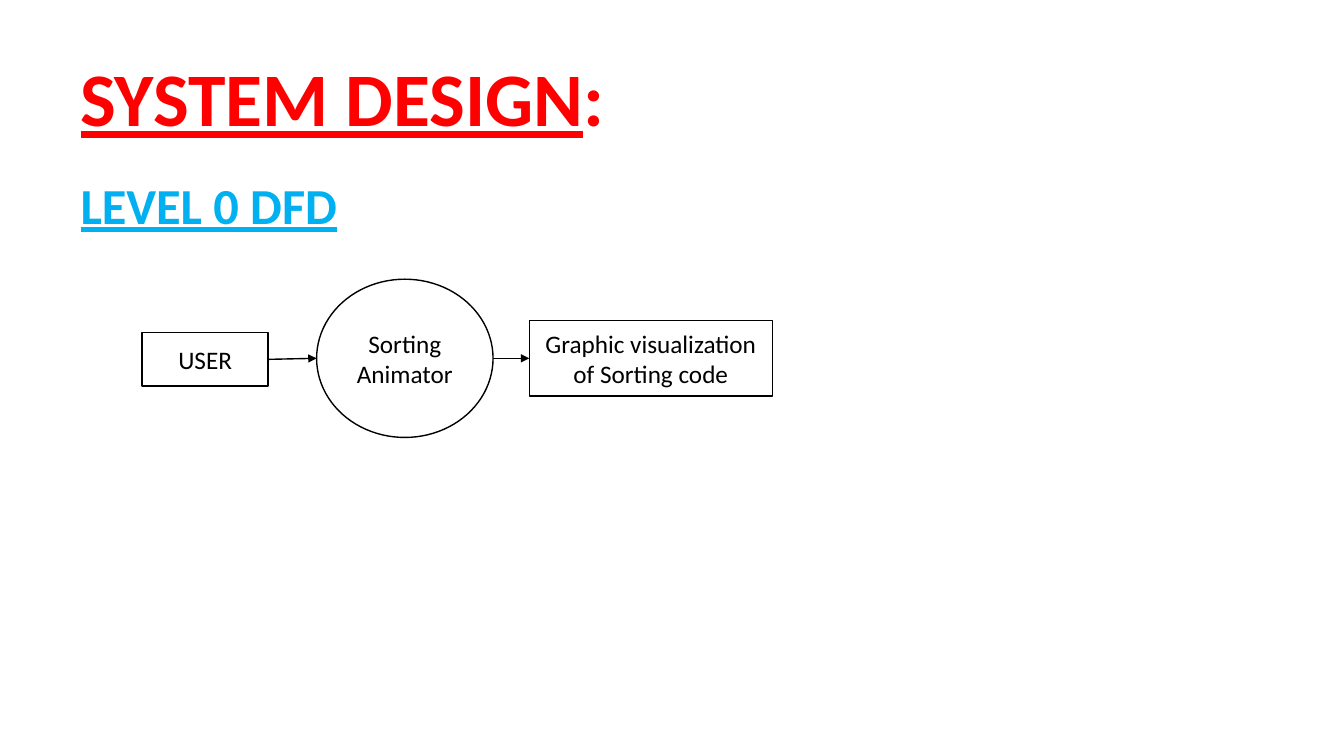
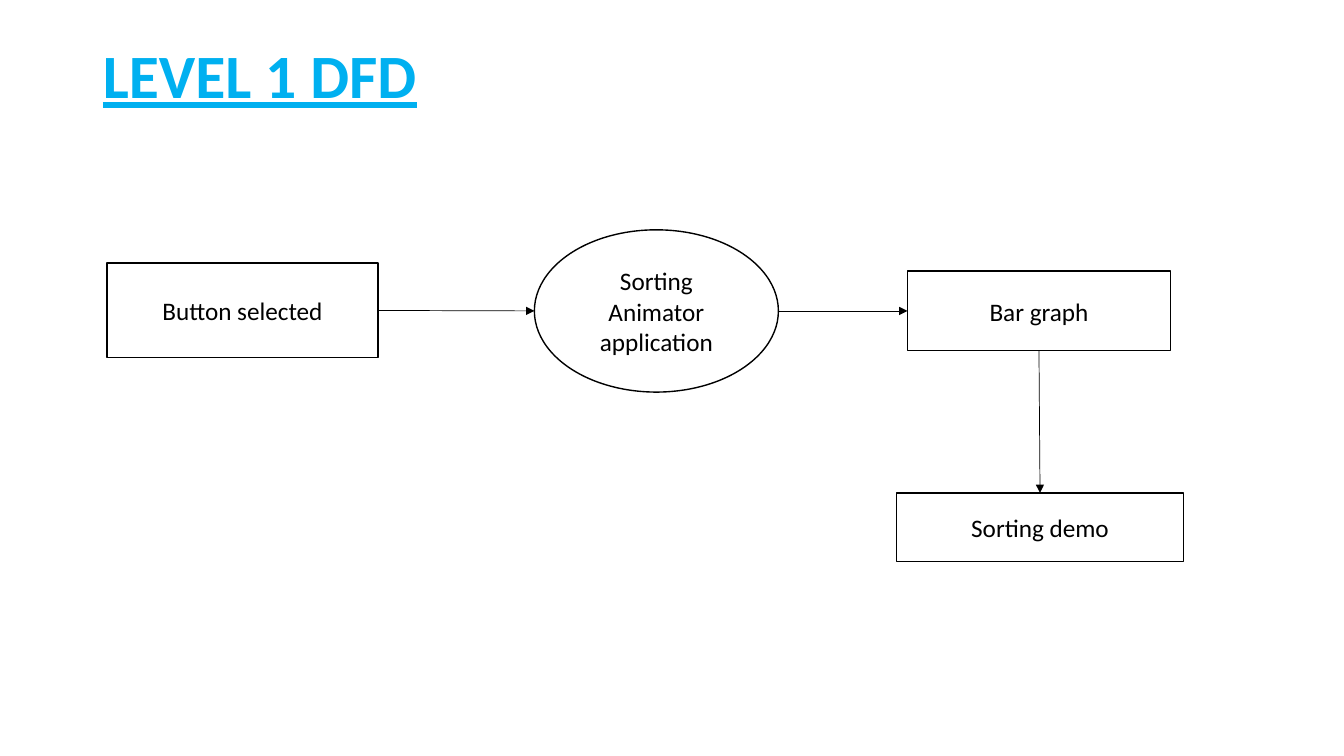
import enum
from dataclasses import dataclass

import lxml.etree
import pptx
import pptx.dml.color
import pptx.enum.shapes
import pptx.enum.text
import pptx.oxml.ns
import pptx.presentation
import pptx.shapes.autoshape
import pptx.slide
import pptx.text.text
import pptx.util

PX = pptx.util.Inches(1) // 100

BLACK = pptx.dml.color.RGBColor(0x00, 0x00, 0x00)
WHITE = pptx.dml.color.RGBColor(0xFF, 0xFF, 0xFF)
RED = pptx.dml.color.RGBColor(0xFF, 0x00, 0x00)
SKY = pptx.dml.color.RGBColor(0x00, 0xB0, 0xF0)
FONT = "Calibri"
TITLE_ONLY = 5

Kind = pptx.enum.shapes.MSO_SHAPE
Align = pptx.enum.text.PP_ALIGN
Anchor = pptx.enum.text.MSO_ANCHOR


class Side(enum.IntEnum):
    TOP = 0
    LEFT = 1
    BOTTOM = 2
    RIGHT = 3


@dataclass(frozen=True)
class Area:
    left: int
    top: int
    width: int
    height: int

    def emu(self) -> tuple[int, int, int, int]:
        return self.left * PX, self.top * PX, self.width * PX, self.height * PX


@dataclass(frozen=True)
class Node:
    lines: tuple[str, ...]
    area: Area
    kind: Kind = Kind.RECTANGLE


@dataclass(frozen=True)
class Flow:
    source: str
    target: str
    leave: Side = Side.RIGHT
    enter: Side = Side.LEFT


def add_text(para: pptx.text.text._Paragraph, text: str, *, size: int,
             color: pptx.dml.color.RGBColor = BLACK, bold: bool = False,
             underline: bool = False, align: Align = Align.LEFT,
             spacing: float = 1.0) -> None:
    para.alignment = align
    para.line_spacing = spacing
    span = para.add_run()
    span.text = text
    span.font.name = FONT
    span.font.size = pptx.util.Pt(size)
    span.font.color.rgb = color
    span.font.bold = bold
    span.font.underline = underline


def place_heading(box: pptx.shapes.autoshape.Shape,
                  area: Area) -> pptx.text.text._Paragraph:
    """Position a title or text box and return its first paragraph."""
    box.left, box.top, box.width, box.height = area.emu()
    frame = box.text_frame
    frame.word_wrap = True
    frame.auto_size = pptx.enum.text.MSO_AUTO_SIZE.NONE
    frame.vertical_anchor = Anchor.TOP
    return frame.paragraphs[0]


def draw_node(page: pptx.slide.Slide, node: Node) -> pptx.shapes.autoshape.Shape:
    shape = page.shapes.add_shape(node.kind, *node.area.emu())
    shape.shadow.inherit = False
    shape.fill.solid()
    shape.fill.fore_color.rgb = WHITE
    shape.line.color.rgb = BLACK
    shape.line.width = pptx.util.Pt(1)
    frame = shape.text_frame
    frame.word_wrap = True
    frame.vertical_anchor = Anchor.MIDDLE
    for index, line in enumerate(node.lines):
        para = frame.add_paragraph() if index else frame.paragraphs[0]
        add_text(para, line, size=18, align=Align.CENTER)
    return shape


def side_middle(shape: pptx.shapes.autoshape.Shape, side: Side) -> tuple[int, int]:
    across, down = {Side.TOP: (1, 0), Side.LEFT: (0, 1),
                    Side.BOTTOM: (1, 2), Side.RIGHT: (2, 1)}[side]
    return (shape.left + shape.width * across // 2,
            shape.top + shape.height * down // 2)


def draw_flow(page: pptx.slide.Slide, flow: Flow,
              shapes: dict[str, pptx.shapes.autoshape.Shape],
              weight: float) -> None:
    """Draw an arrow, joined to its rectangles; ellipses number their sites differently."""
    source, target = shapes[flow.source], shapes[flow.target]
    arrow = page.shapes.add_connector(
        pptx.enum.shapes.MSO_CONNECTOR.STRAIGHT,
        *side_middle(source, flow.leave), *side_middle(target, flow.enter))
    if source.auto_shape_type == Kind.RECTANGLE:
        arrow.begin_connect(source, int(flow.leave))
    if target.auto_shape_type == Kind.RECTANGLE:
        arrow.end_connect(target, int(flow.enter))
    arrow.line.color.rgb = BLACK
    arrow.line.width = pptx.util.Pt(weight)
    qn = pptx.oxml.ns.qn
    properties = arrow.element.spPr
    lxml.etree.SubElement(properties.find(qn("a:ln")), qn("a:tailEnd"), type="triangle")
    lxml.etree.SubElement(properties, qn("a:effectLst"))


def draw_diagram(page: pptx.slide.Slide, nodes: dict[str, Node],
                 flows: list[Flow], weight: float) -> None:
    shapes = {name: draw_node(page, node) for name, node in nodes.items()}
    for flow in flows:
        draw_flow(page, flow, shapes, weight)


def add_page(deck: pptx.presentation.Presentation) -> pptx.slide.Slide:
    return deck.slides.add_slide(deck.slide_layouts[TITLE_ONLY])


def build_level_0(deck: pptx.presentation.Presentation) -> None:
    page = add_page(deck)
    title = place_heading(page.shapes.title, Area(70, 46, 1068, 101))
    add_text(title, "SYSTEM DESIGN", size=54, color=RED, bold=True, underline=True)
    add_text(title, ":", size=54, color=RED, bold=True)
    area = Area(70, 168, 511, 71)
    subtitle = place_heading(page.shapes.add_textbox(*area.emu()), area)
    add_text(subtitle, "LEVEL 0 DFD", size=36, color=SKY, bold=True, underline=True)
    nodes = {
        "user": Node(("USER",), Area(141, 330, 125, 53)),
        "animator": Node(("Sorting Animator",), Area(314, 277, 175, 157), Kind.OVAL),
        "visual": Node(("Graphic visualization of Sorting code",),
                       Area(525, 318, 241, 75)),
    }
    flows = [Flow("user", "animator"), Flow("animator", "visual")]
    draw_diagram(page, nodes, flows, weight=1)


def build_level_1(deck: pptx.presentation.Presentation) -> None:
    page = add_page(deck)
    title = place_heading(page.shapes.title, Area(92, 40, 1150, 145))
    add_text(title, "LEVEL 1 DFD", size=44, color=SKY, bold=True, underline=True,
             spacing=0.9)
    nodes = {
        "button": Node(("Button selected",), Area(106, 261, 269, 94)),
        "animator": Node(("Sorting Animator", "application"),
                         Area(530, 228, 242, 161), Kind.OVAL),
        "graph": Node(("Bar graph",), Area(900, 269, 261, 79)),
        "demo": Node(("Sorting demo",), Area(889, 489, 285, 68)),
    }
    flows = [Flow("button", "animator"), Flow("animator", "graph"),
             Flow("graph", "demo", Side.BOTTOM, Side.TOP)]
    draw_diagram(page, nodes, flows, weight=0.5)


def main() -> None:
    deck = pptx.Presentation()
    deck.slide_width, deck.slide_height = 1333 * PX, 750 * PX
    build_level_0(deck)
    build_level_1(deck)
    deck.save("out.pptx")


if __name__ == "__main__":
    main()
